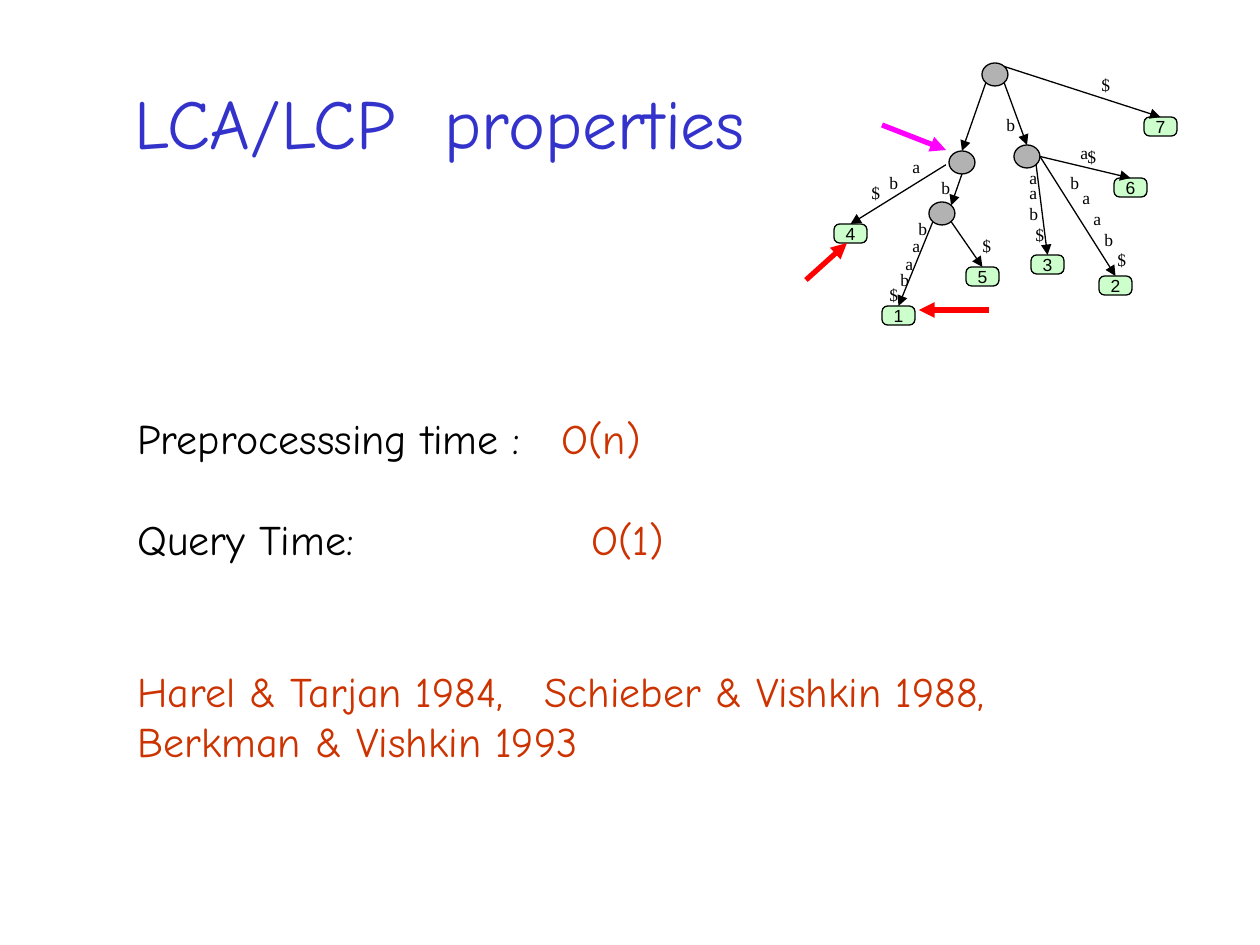
"""Build a slide on LCA/LCP properties with a suffix tree."""
import pptx
import pptx.util
import pptx.dml.color
import pptx.enum.shapes
import pptx.enum.text
import pptx.oxml.ns
from lxml import etree

SCALE = 914400 / 126
COLOURS = {"title": "3333CC", "text": "000000", "accent": "CC3300", "node": "B2B2B2",
           "leaf": "CCFFCC", "red": "FF0000", "magenta": "FF00FF"}
HAND, SERIF, SANS = "Comic Neue", "Times New Roman", "Arial"

TITLE = [(0, [310], [("LCA/LCP\tproperties", "title")])]
BODY = [
    (0, [424], [("Preprocesssing time :\t", "text"), ("O(n)", "accent")]),
    (29, [454], [("Query Time:\t", "text"), ("O(1)", "accent")]),
    (58, [407], [("Harel & Tarjan 1984,\tSchieber & Vishkin 1988,", "accent")]),
    (0, [], [("Berkman & Vishkin 1993", "accent")]),
]
NODE_SIZE, LEAF_SIZE, LABEL_SIZE = (26, 23), (33, 19), (29, 34)
NODES = {"root": (982, 63), "left": (949, 151), "right": (1014, 145), "inner": (929, 202)}
LEAVES = {"1": (882, 306), "2": (1099, 276), "3": (1031, 255), "4": (834, 224),
          "5": (966, 267), "6": (1114, 178), "7": (1144, 117)}
ANCHORS = {"top right": (0.85, 0.15), "right": (1, 0.5), "bottom right": (0.85, 0.85),
           "bottom": (0.5, 1), "bottom left": (0.15, 0.85), "outer left": (-0.12, 0.6)}
EDGES = [
    ("root", "bottom left", "left", []),
    ("root", "bottom right", "right", [("b", 994, 108)]),
    ("root", "top right", "7", [("$", 1089, 68)]),
    ("left", "outer left", "4", [("a", 900, 150), ("b", 877, 166), ("$", 859, 176)]),
    ("left", "bottom", "inner", [("b", 929, 171)]),
    ("inner", "bottom left", "1", [("b", 906, 212), ("a", 900, 229), ("a", 893, 247),
                                   ("b", 888, 263), ("$", 877, 278)]),
    ("inner", "bottom right", "5", [("$", 970, 229)]),
    ("right", "bottom right", "3", [("a", 1017, 161), ("a", 1017, 176),
                                    ("b", 1017, 197), ("$", 1023, 218)]),
    ("right", "right", "2", [("b", 1058, 166), ("a", 1070, 181), ("a", 1081, 202),
                             ("b", 1092, 223), ("$", 1105, 243)]),
    ("right", "right", "6", [("a", 1068, 136), ("$", 1075, 140)]),
]
POINTERS = [("red", (806, 280), (847, 243)), ("red", (989, 310), (919, 310)),
            ("magenta", (882, 125), (946, 150))]


def px(*lengths):
    return [pptx.util.Emu(round(length * SCALE)) for length in lengths]


def rgb(name):
    return pptx.dml.color.RGBColor.from_string(COLOURS[name])


def add_run(paragraph, text, size, font, colour):
    run = paragraph.add_run()
    run.text = text
    run.font.size = pptx.util.Pt(size)
    run.font.name = font
    run.font.color.rgb = rgb(colour)


def add_text(slide, box, paragraphs, size, font):
    frame = slide.shapes.add_textbox(*px(*box)).text_frame
    frame.word_wrap = True
    for index, (before, stops, runs) in enumerate(paragraphs):
        paragraph = frame.add_paragraph() if index else frame.paragraphs[0]
        if stops:
            properties = paragraph._p.get_or_add_pPr()
            tabs = etree.SubElement(properties, pptx.oxml.ns.qn("a:tabLst"))
            for stop in px(*stops):
                etree.SubElement(tabs, pptx.oxml.ns.qn("a:tab"), pos=str(stop), algn="l")
        if before:
            paragraph.space_before = pptx.util.Pt(before)
        for text, colour in runs:
            add_run(paragraph, text, size, font, colour)


def add_vertex(slide, kind, position, size, colour):
    shape = slide.shapes.add_shape(kind, *px(*position, *size))
    shape.shadow.inherit = False
    shape.fill.solid()
    shape.fill.fore_color.rgb = rgb(colour)
    shape.line.color.rgb = rgb("text")
    shape.line.width = pptx.util.Pt(0.75)
    return shape


def add_leaf(slide, name, position):
    kind = pptx.enum.shapes.MSO_SHAPE.ROUNDED_RECTANGLE
    shape = add_vertex(slide, kind, position, LEAF_SIZE, "leaf")
    shape.adjustments[0] = 0.3
    frame = shape.text_frame
    frame.word_wrap = False
    frame.vertical_anchor = pptx.enum.text.MSO_ANCHOR.MIDDLE
    paragraph = frame.paragraphs[0]
    paragraph.alignment = pptx.enum.text.PP_ALIGN.CENTER
    add_run(paragraph, name, 10, SANS, "text")
    return shape


def add_arrow(slide, start, end, colour, width):
    kind = pptx.enum.shapes.MSO_CONNECTOR.STRAIGHT
    arrow = slide.shapes.add_connector(kind, *px(*start, *end))
    arrow.line.color.rgb = rgb(colour)
    arrow.line.width = pptx.util.Pt(width)
    line = arrow.line._get_or_add_ln()
    etree.SubElement(line, pptx.oxml.ns.qn("a:tailEnd"), type="triangle")
    etree.SubElement(arrow._element.spPr, pptx.oxml.ns.qn("a:effectLst"))
    return arrow


def add_tree(slide):
    oval = pptx.enum.shapes.MSO_SHAPE.OVAL
    vertices = {name: add_vertex(slide, oval, position, NODE_SIZE, "node")
                for name, position in NODES.items()}
    vertices.update({name: add_leaf(slide, name, position)
                     for name, position in LEAVES.items()})
    for parent, anchor, child, labels in EDGES:
        start = [origin + length * part for origin, length, part
                 in zip(NODES[parent], NODE_SIZE, ANCHORS[anchor])]
        if child == "inner":
            end = [origin + length * part for origin, length, part
                   in zip(NODES[child], NODE_SIZE, ANCHORS["top right"])]
            add_arrow(slide, start, end, "text", 0.75)
        else:
            arrow = add_arrow(slide, start, start, "text", 0.75)
            arrow.end_connect(vertices[child], 0)
        for letter, left, top in labels:
            add_text(slide, (left, top, *LABEL_SIZE), [(0, [], [(letter, "text")])], 10, SERIF)


def main():
    presentation = pptx.Presentation()
    presentation.slide_width, presentation.slide_height = px(1260, 945)
    slide = presentation.slides.add_slide(presentation.slide_layouts[6])
    add_text(slide, (122, 73, 640, 97), TITLE, 40, HAND)
    add_tree(slide)
    for colour, start, end in POINTERS:
        add_arrow(slide, start, end, colour, 3)
    add_text(slide, (125, 406, 892, 365), BODY, 24, HAND)
    presentation.save("out.pptx")


if __name__ == "__main__":
    main()
